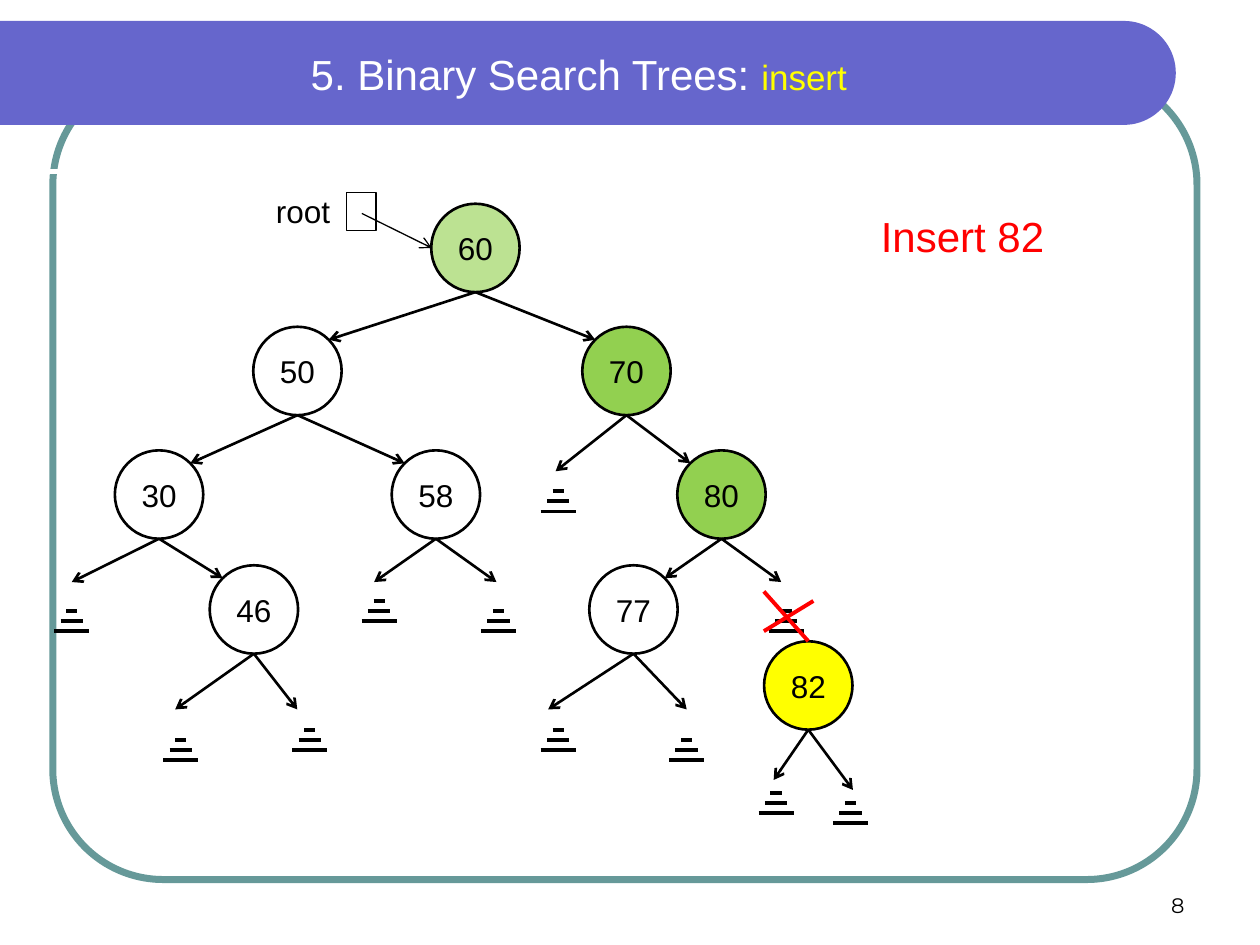
from math import cos, pi, sin, sqrt

from lxml.etree import SubElement
from pptx import Presentation
from pptx.dml.color import RGBColor
from pptx.enum.shapes import MSO_CONNECTOR as Link, MSO_SHAPE as Preset
from pptx.enum.text import MSO_ANCHOR as Anchor, MSO_AUTO_SIZE as Fit, PP_ALIGN as Align
from pptx.oxml.ns import qn
from pptx.util import Pt

THEME = {
    "font": "Arial", "number_font": "Montserrat",
    "ink": "000000", "paper": "FFFFFF", "banner": "6666CC", "frame": "669999",
    "accent": "FFFF00", "alert": "FF0000", "root": "BCE292", "visited": "92D050",
    "title": 24, "subtitle": 20, "body": 18, "small": 12,
    "thin": 0.75, "edge": 1.5, "bold": 2.25, "rule": 3, "border": 4,
}

TITLE = [("5. Binary Search Trees: ", "title", "paper"), ("insert", "subtitle", "accent")]
TASK = [("Insert 82", "title", "alert")]
ROOT_LABEL = [("root", "body", "ink")]
PAGE = [("8", "small", "ink")]

NODES = {
    60: (271.7, 141.7, "root"),
    50: (170, 212, None),
    70: (358, 212, "visited"),
    30: (90.9, 282.6, None),
    58: (249.1, 282.6, None),
    80: (412.3, 282.6, "visited"),
    77: (362, 348.3, None),
    46: (145.1, 348.3, None),
    82: (461.9, 391.7, "accent"),
}
BRANCHES = [(60, 50), (60, 70), (50, 30), (50, 58), (30, 46), (70, 80), (80, 77)]
NULL_LINKS = [
    (30, (41, 332.6), (41, 360.7)),
    (58, (213.8, 332.6), (216.7, 355)),
    (58, (283.7, 332.6), (284.8, 360.7)),
    (70, (317.5, 269.3), (319, 292.3)),
    (80, (446.4, 332.6), (449.3, 360.7)),
    (46, (100.1, 405.4), (103.3, 434.2)),
    (46, (169.9, 405.4), (177.1, 428.4)),
    (77, (313.2, 405.4), (319, 428.4)),
    (77, (392.4, 405.4), (392.4, 434.2)),
    (82, (442.1, 445.7), (443.5, 464.4)),
    (82, (487.4, 451.4), (486, 470.2)),
]
CROSS = [((436.5, 338), (461.9, 366.4)), ((464.8, 343.4), (436.5, 360.7))]
ROOT_BOX = (198, 110.2, 16.8, 21.6)
ROOT_LINK = ((206.8, 122), (246.7, 141.7))

DIAMETER = 50.5
RADIUS = DIAMETER / 2
CORNER = RADIUS / sqrt(2)
GROUND_WIDTHS = (20, 12.8, 6.4)
GROUND_GAP = 5.75
BANNER_TOP, BANNER_BOTTOM, BANNER_TURN = 12, 71.4, 642.2
ARC_STEPS = 40


def color(key):
    return RGBColor.from_string(THEME[key])


def paint(shape, fill, line, weight="edge"):
    shape.shadow.inherit = False
    if fill:
        shape.fill.solid()
        shape.fill.fore_color.rgb = color(fill)
    else:
        shape.fill.background()
    if line:
        shape.line.color.rgb = color(line)
        shape.line.width = Pt(THEME[weight])
    else:
        shape.line.fill.background()


def write(shape, runs, align=Align.CENTER, font="font", **frame_format):
    frame = shape.text_frame
    for attribute, value in {"word_wrap": True, **frame_format}.items():
        setattr(frame, attribute, value)
    paragraph = frame.paragraphs[0]
    paragraph.alignment = align
    for text, size, ink in runs:
        run = paragraph.add_run()
        run.text = text
        for attribute, value in {"name": THEME[font], "size": Pt(THEME[size])}.items():
            setattr(run.font, attribute, value)
        run.font.color.rgb = color(ink)


def add_text(shapes, area, runs, **options):
    write(shapes.add_textbox(*map(Pt, area)), runs, **options)


def add_line(shapes, start, end, ink="ink", weight="edge", arrow=False):
    line = shapes.add_connector(Link.STRAIGHT, *map(Pt, (*start, *end)))
    line.line.color.rgb = color(ink)
    line.line.width = Pt(THEME[weight])
    if arrow:
        SubElement(line.line._get_or_add_ln(), qn("a:tailEnd"), type="arrow")
    SubElement(line._element.spPr, qn("a:effectLst"))


def add_ground(shapes, center, bottom):
    bars = shapes.add_group_shape().shapes
    for level, width in enumerate(GROUND_WIDTHS):
        y = bottom - level * GROUND_GAP
        add_line(bars, (center - width / 2, y), (center + width / 2, y), weight="bold")


def add_node(shapes, key):
    x, y, fill = NODES[key]
    node = shapes.add_shape(Preset.OVAL, *map(Pt, (x - RADIUS, y - RADIUS, DIAMETER, DIAMETER)))
    paint(node, fill, "ink")
    write(node, [(str(key), "body", "ink")], vertical_anchor=Anchor.MIDDLE)


def foot(key):
    x, y, _ = NODES[key]
    return x, y + RADIUS


def shoulder(parent, child):
    x, y, _ = NODES[child]
    side = 1 if NODES[parent][0] > x else -1
    return x + side * CORNER, y - CORNER


def add_backdrop(shapes):
    frame = shapes.add_shape(Preset.ROUNDED_RECTANGLE, *map(Pt, (30.2, 42.5, 653.8, 460.1)))
    frame.adjustments[0] = 0.137
    paint(frame, None, "frame", "border")

    bend = (BANNER_BOTTOM - BANNER_TOP) / 2
    middle = BANNER_TOP + bend
    angles = [-pi / 2 + pi * step / ARC_STEPS for step in range(ARC_STEPS + 1)]
    arc = [(BANNER_TURN + bend * cos(a), middle + bend * sin(a)) for a in angles]
    outline = shapes.build_freeform(Pt(0), Pt(BANNER_TOP))
    outline.add_line_segments([(Pt(x), Pt(y)) for x, y in [*arc, (0, BANNER_BOTTOM)]])
    paint(outline.convert_to_shape(), "banner", None)
    add_line(shapes, (0, 97.9), (635.8, 97.9), "paper", "rule")


def add_tree(shapes):
    for key in NODES:
        add_node(shapes, key)
    for parent, child in BRANCHES:
        add_line(shapes, foot(parent), shoulder(parent, child), arrow=True)
    for parent, tip, ground in NULL_LINKS:
        add_line(shapes, foot(parent), tip, arrow=True)
        add_ground(shapes, *ground)
    for start, end in CROSS:
        add_line(shapes, start, end, "alert", "bold")


def main():
    deck = Presentation()
    deck.slide_width, deck.slide_height = Pt(720), Pt(540)
    shapes = deck.slides.add_slide(deck.slide_layouts[6]).shapes
    add_backdrop(shapes)
    no_margin = {f"margin_{side}": 0 for side in ("left", "top", "right", "bottom")}
    add_text(shapes, (15.1, 18.2, 631.4, 47.5), TITLE, vertical_anchor=Anchor.MIDDLE, **no_margin)
    add_text(shapes, (516.2, 492, 167.8, 36), PAGE, align=Align.RIGHT,
             font="number_font", vertical_anchor=Anchor.BOTTOM)
    add_tree(shapes)
    add_text(shapes, (144.7, 106, 56.9, 29), ROOT_LABEL, auto_size=Fit.SHAPE_TO_FIT_TEXT)
    paint(shapes.add_shape(Preset.RECTANGLE, *map(Pt, ROOT_BOX)), None, "ink", "thin")
    add_line(shapes, *ROOT_LINK, weight="thin", arrow=True)
    add_text(shapes, (462.2, 116.6, 175.7, 36.3), TASK, auto_size=Fit.SHAPE_TO_FIT_TEXT)
    deck.save("out.pptx")


if __name__ == "__main__":
    main()
